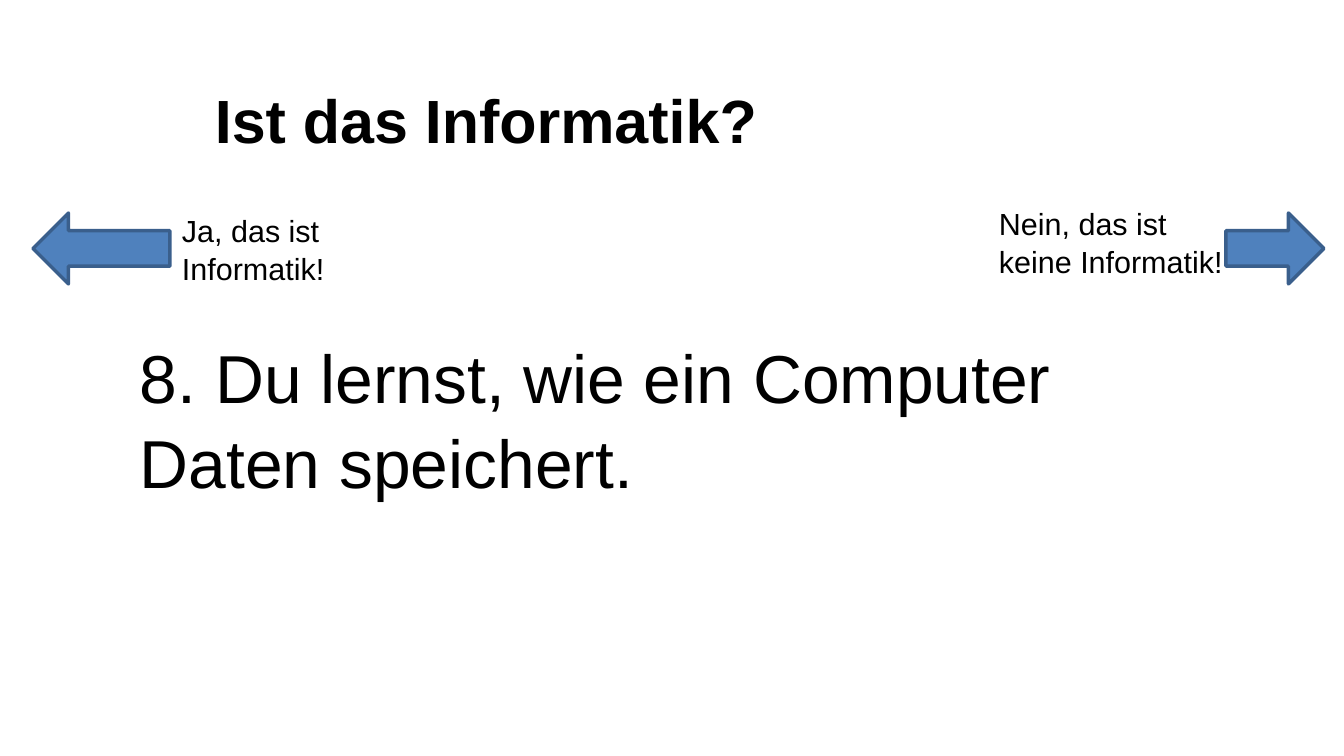
from pptx import Presentation
from pptx import util as u
from pptx.dml.color import RGBColor
from pptx.enum import shapes, text

PX = 914400 / 122


def px(length):
    return u.Emu(round(length * PX))


def color(hex_string):
    return RGBColor.from_string(hex_string)


presentation = Presentation()
presentation.slide_width, presentation.slide_height = px(1344), px(756)
slide = presentation.slides.add_slide(presentation.slide_layouts[6])

# Answer arrows
arrows = [
    (shapes.MSO_SHAPE.LEFT_ARROW, 33, 137),
    (shapes.MSO_SHAPE.RIGHT_ARROW, 1226, 98),
]
for kind, left, width in arrows:
    arrow = slide.shapes.add_shape(kind, px(left), px(213), px(width), px(71))
    arrow.shadow.inherit = False
    arrow.fill.solid()
    arrow.fill.fore_color.rgb = color("4F81BD")
    arrow.line.color.rgb = color("3A5F8C")
    arrow.line.width = u.Pt(2)

# Title, answers and statement: box, lines, font format
texts = [
    ((203, 74, 912, 87), ["Ist das Informatik?"], {"size": u.Pt(36), "bold": True}),
    ((170, 205, 228, 87), ["Ja, das ist", "Informatik!"], {"size": u.Pt(18)}),
    ((987, 198, 256, 87), ["Nein, das ist keine Informatik!"], {"size": u.Pt(18)}),
    ((128, 329, 1130, 177), ["8. Du lernst, wie ein Computer Daten speichert."],
     {"size": u.Pt(40)}),
]
for box, lines, font_format in texts:
    frame = slide.shapes.add_textbox(*map(px, box)).text_frame
    frame.word_wrap = True
    frame.vertical_anchor = text.MSO_ANCHOR.MIDDLE
    frame.text = "\n".join(lines)
    for paragraph in frame.paragraphs:
        paragraph.line_spacing = 1.04
        paragraph.font.color.rgb = color("000000")
        for name, value in {"name": "Arial", **font_format}.items():
            setattr(paragraph.font, name, value)

presentation.save("out.pptx")
